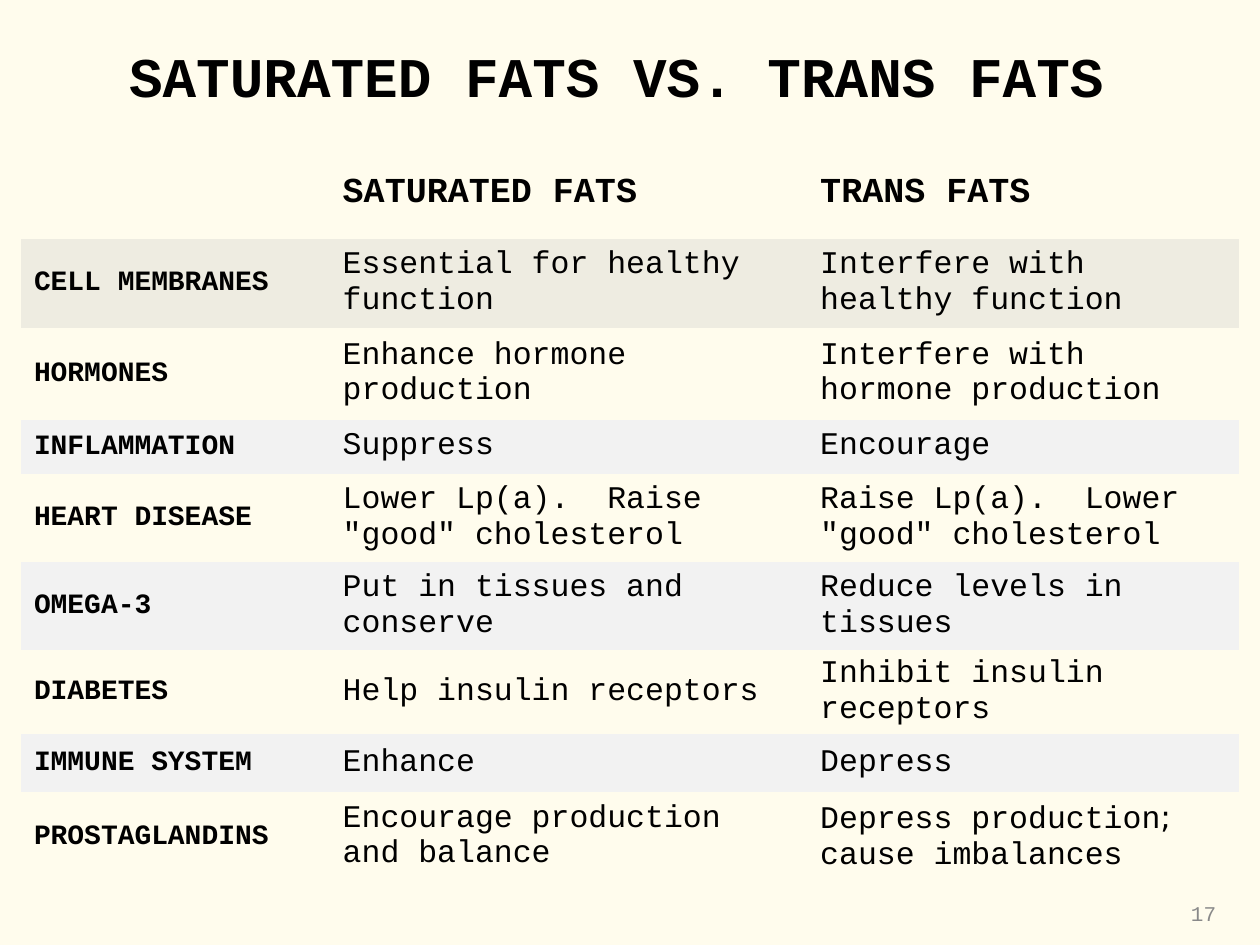
from pptx import Presentation
from pptx.dml.color import RGBColor
from pptx.enum.text import MSO_ANCHOR as Anchor, PP_ALIGN as Align
from pptx.oxml.ns import qn
from pptx.oxml.xmlchemy import OxmlElement
from pptx.util import Inches, Pt

FONT = "Courier New"
SYMBOL_FONT = "DejaVu Sans"
NO_STYLE = "{2D5ABB26-0587-4C30-8999-92F81FD0307C}"
COLUMN_WIDTHS = [2.45, 3.79, 3.42]
HEADINGS = ["", "SATURATED FATS", "TRANS FATS"]
HEADING_HEIGHT = 0.74
EFFECTS = [
    (0.7, "EEECE1", 4.5, "CELL MEMBRANES", "Essential for healthy function",
     ["Interfere with healthy function"]),
    (0.73, None, 4.5, "HORMONES", "Enhance hormone production",
     ["Interfere with hormone production"]),
    (0.43, "F2F2F2", 4.5, "INFLAMMATION", "Suppress", ["Encourage"]),
    (0.7, None, 0, "HEART DISEASE", 'Lower Lp(a).  Raise "good" cholesterol',
     ['Raise Lp(a).  Lower "good" cholesterol']),
    (0.7, "F2F2F2", 4.5, "OMEGA-3", "Put in tissues and conserve",
     ["Reduce levels in tissues"]),
    (0.67, None, 4.5, "DIABETES", "Help insulin receptors",
     ["Inhibit insulin receptors"]),
    (0.46, "F2F2F2", 4.5, "IMMUNE SYSTEM", "Enhance", ["Depress"]),
    (0.7, None, 4.5, "PROSTAGLANDINS", "Encourage production and balance",
     ["Depress production", ";", " cause imbalances"]),
]


def color(value):
    """Turn a hex string into a colour."""
    return RGBColor.from_string(value)


def write(frame, *pieces, size, bold=False, ink="000000", align=Align.LEFT, before=0):
    """Write one paragraph, setting a lone semicolon in the symbol font."""
    frame.word_wrap = True
    paragraph = frame.paragraphs[0]
    paragraph.alignment = align
    paragraph.space_before = Pt(before)
    for piece in pieces:
        run = paragraph.add_run()
        run.text = piece
        run.font.name = SYMBOL_FONT if piece == ";" else FONT
        run.font.size = Pt(size)
        run.font.bold = bold
        run.font.color.rgb = color(ink)


def paint_background(slide):
    """Fill the slide with half-transparent cream."""
    fill = slide.background.fill
    fill.solid()
    fill.fore_color.rgb = color("FFFBDD")
    alpha = OxmlElement("a:alpha")
    alpha.set("val", "50000")
    slide.element.find(".//" + qn("a:srgbClr")).append(alpha)


def add_title(slide, text):
    """Place and write the slide title."""
    title = slide.shapes.title
    title.left, title.top = Inches(0.78), Inches(0.1)
    title.width, title.height = Inches(8.5), Inches(1)
    title.text_frame.vertical_anchor = Anchor.MIDDLE
    write(title.text_frame, text, size=32, bold=True, align=Align.CENTER)


def fill_cell(cell, *pieces, shade=None, **style):
    """Shade a table cell and write its text."""
    cell.vertical_anchor = Anchor.MIDDLE
    if shade:
        cell.fill.solid()
        cell.fill.fore_color.rgb = color(shade)
    else:
        cell.fill.background()
    write(cell.text_frame, *pieces, **style)


def add_comparison(slide):
    """Build the table that compares the two kinds of fat."""
    heights = [HEADING_HEIGHT] + [effect[0] for effect in EFFECTS]
    frame = slide.shapes.add_table(
        len(heights), len(COLUMN_WIDTHS), Inches(0.17), Inches(1.16),
        Inches(sum(COLUMN_WIDTHS)), Inches(sum(heights)))
    table = frame.table
    table.horz_banding = False
    table._tbl.tblPr.find(qn("a:tableStyleId")).text = NO_STYLE
    for column, width in zip(table.columns, COLUMN_WIDTHS):
        column.width = Inches(width)
    for row, height in zip(table.rows, heights):
        row.height = Inches(height)
    for column, heading in enumerate(HEADINGS):
        pieces = [heading] if heading else []
        fill_cell(table.cell(0, column), *pieces, size=20, bold=True, before=5)
    for row, (_, shade, before, topic, saturated, trans) in enumerate(EFFECTS, 1):
        fill_cell(table.cell(row, 0), topic, shade=shade, size=16, bold=True,
                  before=min(before, 4))
        for column, pieces in enumerate(([saturated], trans), 1):
            fill_cell(table.cell(row, column), *pieces, shade=shade, size=18,
                      before=before)


def add_page_number(slide, number):
    """Write the page number at the bottom right."""
    box = slide.shapes.add_textbox(Inches(7.67), Inches(7), Inches(2.08), Inches(0.5))
    box.text_frame.vertical_anchor = Anchor.MIDDLE
    write(box.text_frame, number, size=12, ink="898989", align=Align.RIGHT)


def main():
    """Build and save the slide."""
    deck = Presentation()
    deck.slide_width, deck.slide_height = Inches(10), Inches(7.5)
    slide = deck.slides.add_slide(deck.slide_layouts[5])
    paint_background(slide)
    add_title(slide, "SATURATED FATS VS. TRANS FATS ")
    add_comparison(slide)
    add_page_number(slide, "17")
    deck.save("out.pptx")


if __name__ == "__main__":
    main()
